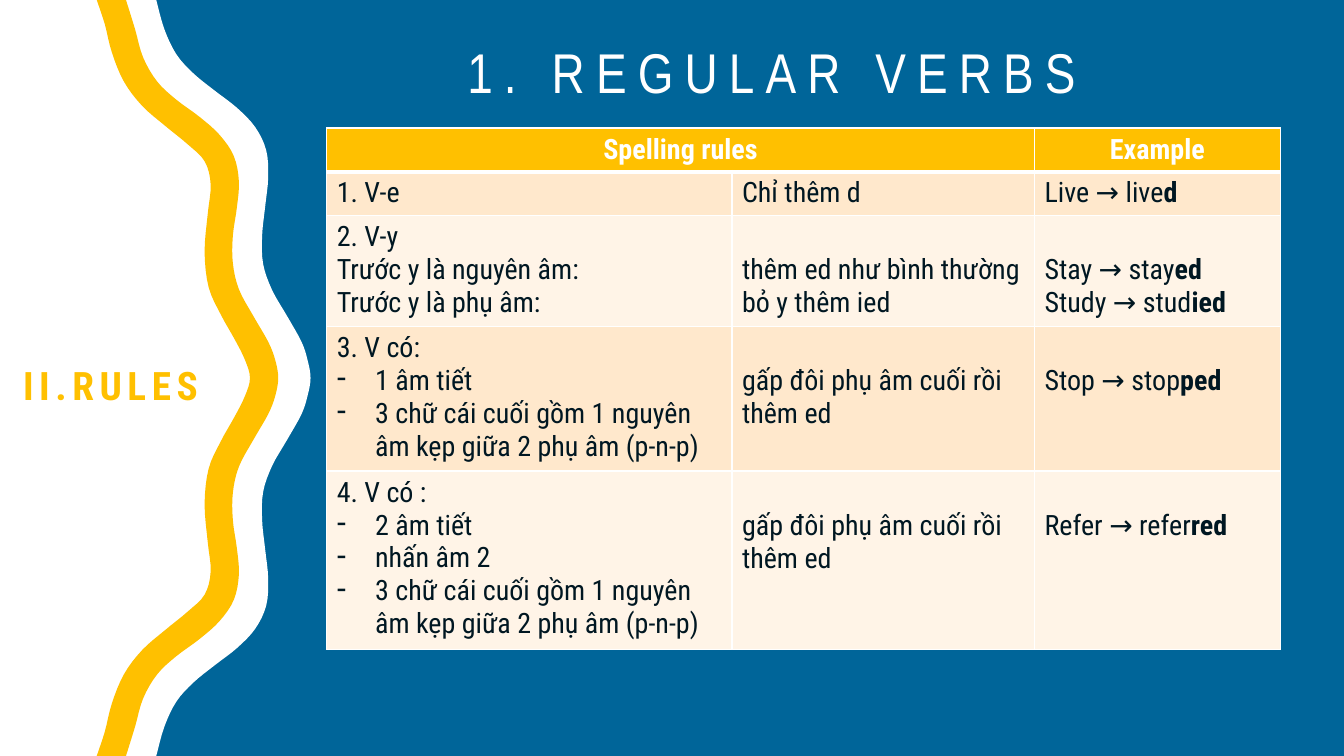
import pptx
import pptx.dml.color
import pptx.enum.text
import pptx.oxml
import pptx.oxml.ns
import pptx.util
from pptx.util import Inches

COLORS = {
    "background": "006599", "white": "FFFFFF", "gold": "FFC000",
    "ink": "001722", "odd_row": "FFE8CC", "even_row": "FFF4E7",
}
SLIDE_WIDTH, SLIDE_HEIGHT = 13.33, 7.5
CONDENSED, NARROW = "Roboto Condensed", "Arial Narrow"
ALIGN = pptx.enum.text.PP_ALIGN
ANCHOR = pptx.enum.text.MSO_ANCHOR

WHITE_EDGE = [
    (1.55, 0), (1.63, 0.29), (1.75, 0.54), (1.92, 0.73), (2.13, 0.9), (2.35, 1.07),
    (2.53, 1.26), (2.64, 1.49), (2.66, 1.76), (2.63, 2.05), (2.6, 2.34), (2.61, 2.62),
    (2.7, 2.88), (2.85, 3.14), (2.99, 3.39), (3.05, 3.57), (3.08, 3.75),
]
GOLD_OUTER_EDGE = [
    (1.25, 0), (1.34, 0.29), (1.42, 0.57), (1.56, 0.81), (1.75, 0.99), (1.98, 1.16),
    (2.18, 1.34), (2.32, 1.55), (2.37, 1.8), (2.35, 2.06), (2.31, 2.34), (2.31, 2.61),
    (2.37, 2.87), (2.51, 3.13), (2.66, 3.39), (2.73, 3.57), (2.76, 3.75),
]
GOLD_INNER_EDGE = [
    (0.96, 0), (1.04, 0.24), (1.11, 0.52), (1.23, 0.81), (1.41, 1.05), (1.64, 1.25),
    (1.86, 1.43), (2.03, 1.6), (2.09, 1.83), (2.06, 2.13), (2.03, 2.5), (2.07, 2.85),
    (2.19, 3.12), (2.33, 3.37), (2.43, 3.57), (2.48, 3.75),
]

COLUMN_WIDTHS = [4.02, 3, 2.44]
ROW_HEIGHTS = [0.42, 0.42, 1.09, 1.41, 1.75]
HEADINGS = ["Spelling rules", "", "Example"]
SANDWICH = "- 3 chữ cái cuối gồm 1 nguyên âm kẹp giữa 2 phụ âm (p-n-p)"
DOUBLING = "gấp đôi phụ âm cuối rồi thêm ed"
RULES = [
    (["1. V-e"], ["Chỉ thêm d"], [("Live → live", "d")]),
    (["2. V-y", "Trước y là nguyên âm:", "Trước y là phụ âm:"],
     ["thêm ed như bình thường", "bỏ y thêm ied"],
     [("Stay → stay", "ed"), ("Study → stud", "ied")]),
    (["3. V có:", "- 1 âm tiết", SANDWICH], [DOUBLING], [("Stop → stop", "ped")]),
    (["4. V có :", "- 2 âm tiết", "- nhấn âm 2", SANDWICH], [DOUBLING],
     [("Refer → refer", "red")]),
]


def rgb(color):
    return pptx.dml.color.RGBColor.from_string(COLORS[color])


def apply_format(target, values):
    for attribute, value in values.items():
        setattr(target, attribute, value)


def add_words(paragraph, words, color, size=20, bold=False, font=CONDENSED, spacing=0):
    run = paragraph.add_run()
    run.text = words
    apply_format(run.font, {"name": font, "size": pptx.util.Pt(size), "bold": bold})
    run.font.color.rgb = rgb(color)
    if spacing:
        run.font._element.set("spc", str(spacing * 100))


def smooth(anchors, steps=4):
    padded = [anchors[0], *anchors, anchors[-1]]
    curve = []
    for a, b, c, d in zip(padded, padded[1:], padded[2:], padded[3:]):
        for step in range(steps):
            t = step / steps
            curve.append(tuple(
                q + t / 2 * (r - p + t * (2 * p - 5 * q + 4 * r - s + t * (3 * (q - r) + s - p)))
                for p, q, r, s in zip(a, b, c, d)))
    return curve + [anchors[-1]]


def full_edge(upper_half):
    mirrored = [(x, SLIDE_HEIGHT - y) for x, y in upper_half[-2::-1]]
    return smooth(upper_half + mirrored)


def add_wave(slide, left, top, outer, inner, color):
    outline = [(Inches(left + x), Inches(top + y)) for x, y in outer + inner[::-1]]
    builder = slide.shapes.build_freeform(*outline[0], scale=1.0)
    builder.add_line_segments(outline[1:], close=True)
    wave = builder.convert_to_shape()
    wave.shadow.inherit = False
    wave.fill.solid()
    wave.fill.fore_color.rgb = rgb(color)
    wave.line.fill.background()


def add_side_panel(slide, left, top):
    add_wave(slide, left, top, full_edge(WHITE_EDGE), [(0, 0), (0, SLIDE_HEIGHT)], "white")
    add_wave(slide, left, top, full_edge(GOLD_OUTER_EDGE), full_edge(GOLD_INNER_EDGE), "gold")
    section = slide.shapes.add_textbox(
        Inches(left + 0.13), Inches(top + 3.54), Inches(2.38), Inches(1.04))
    section.text_frame.word_wrap = True
    add_words(section.text_frame.paragraphs[0], "II.RULES", "gold", 28, True, spacing=4)


def place_title(slide, left, top, width, height):
    title = slide.shapes.title
    apply_format(title, {"left": Inches(left), "top": Inches(top),
                         "width": Inches(width), "height": Inches(height)})
    apply_format(title.text_frame, {"word_wrap": True, "vertical_anchor": ANCHOR.TOP,
                                    "auto_size": pptx.enum.text.MSO_AUTO_SIZE.NONE})
    heading = title.text_frame.paragraphs[0]
    heading.alignment = ALIGN.CENTER
    add_words(heading, "1. REGULAR VERBS", "white", 40, font=NARROW, spacing=8)


def style_cell(cell, fill, bottom_width):
    cell.fill.solid()
    cell.fill.fore_color.rgb = rgb(fill)
    properties = cell._tc.get_or_add_tcPr()
    borders = {"lnL": 1, "lnR": 1, "lnT": 1, "lnB": bottom_width}
    for position, (side, width) in enumerate(borders.items()):
        properties.insert(position, pptx.oxml.parse_xml(
            f'<a:{side} {pptx.oxml.ns.nsdecls("a")} w="{pptx.util.Pt(width)}"><a:solidFill>'
            f'<a:srgbClr val="{COLORS["white"]}"/></a:solidFill></a:{side}>'))


def add_dash(paragraph):
    properties = paragraph._p.get_or_add_pPr()
    properties.set("marL", str(Inches(0.38)))
    properties.set("indent", str(-Inches(0.38)))
    properties.append(pptx.oxml.parse_xml(
        f'<a:buChar {pptx.oxml.ns.nsdecls("a")} char="-"/>'))


def fill_rule_cell(cell, lines):
    frame = cell.text_frame
    for index, line in enumerate(lines):
        paragraph = frame.add_paragraph() if index else frame.paragraphs[0]
        stem, ending = line if isinstance(line, tuple) else (line, "")
        if stem.startswith("- "):
            add_dash(paragraph)
        add_words(paragraph, stem.removeprefix("- "), "ink")
        if ending:
            add_words(paragraph, ending, "ink", bold=True)


def add_rules_table(slide, left, top):
    table = slide.shapes.add_table(
        len(ROW_HEIGHTS), len(COLUMN_WIDTHS), Inches(left), Inches(top),
        Inches(sum(COLUMN_WIDTHS)), Inches(sum(ROW_HEIGHTS))).table
    apply_format(table, {"first_row": False, "horz_banding": False})
    for column, width in zip(table.columns, COLUMN_WIDTHS):
        column.width = Inches(width)
    for row, height in zip(table.rows, ROW_HEIGHTS):
        row.height = Inches(height)

    table.cell(0, 0).merge(table.cell(0, 1))
    for column, heading in enumerate(HEADINGS):
        cell = table.cell(0, column)
        style_cell(cell, "gold", 3)
        if heading:
            paragraph = cell.text_frame.paragraphs[0]
            paragraph.alignment = ALIGN.CENTER
            add_words(paragraph, heading, "white", bold=True)

    for row, rule in enumerate(RULES, 1):
        for column, lines in enumerate(rule):
            cell = table.cell(row, column)
            style_cell(cell, "odd_row" if row % 2 else "even_row", 1)
            fill_rule_cell(cell, lines)
            if column and len(rule[0]) > 1:
                cell.margin_top = Inches(0.38)


def main():
    deck = pptx.Presentation()
    apply_format(deck, {"slide_width": Inches(SLIDE_WIDTH), "slide_height": Inches(SLIDE_HEIGHT)})
    slide = deck.slides.add_slide(deck.slide_layouts[5])
    slide.background.fill.solid()
    slide.background.fill.fore_color.rgb = rgb("background")
    add_side_panel(slide, 0, 0)
    add_rules_table(slide, 3.24, 1.27)
    place_title(slide, 4.32, 0.32, 6.67, 0.77)
    deck.save("out.pptx")


if __name__ == "__main__":
    main()
